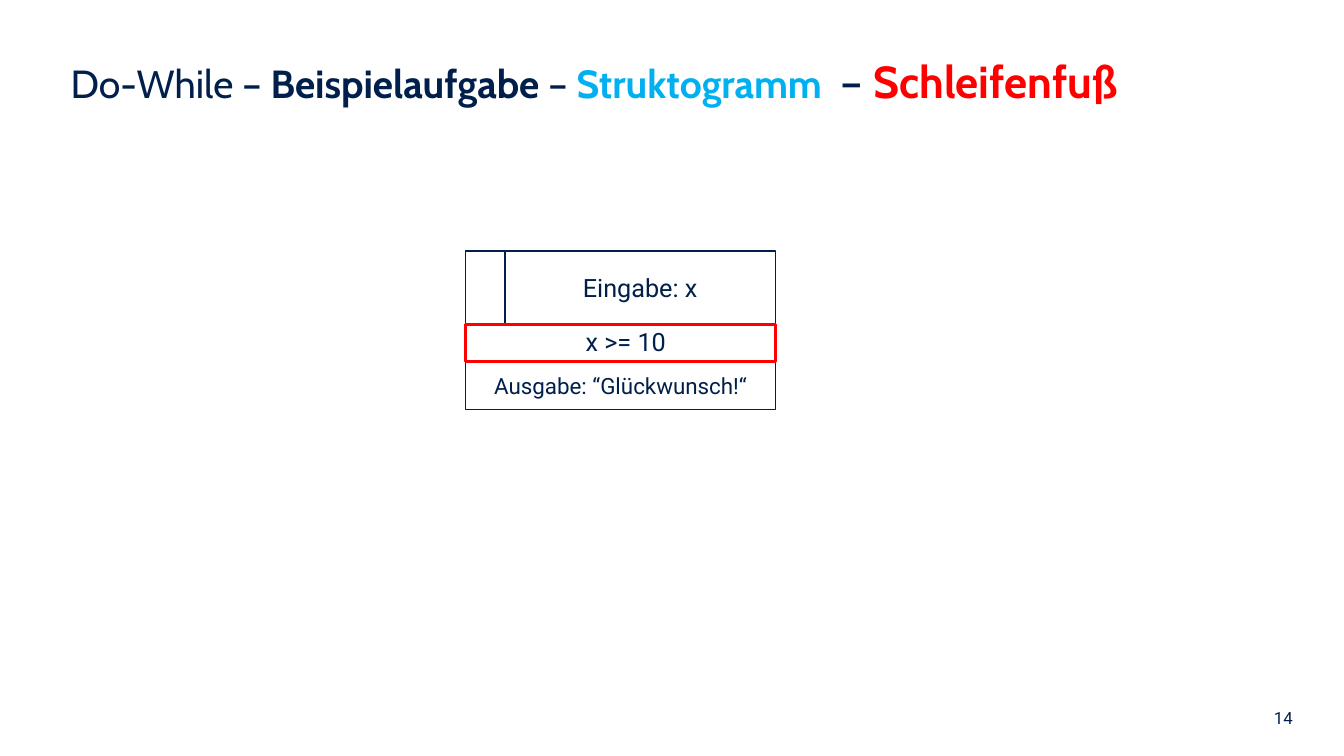
from dataclasses import dataclass

from pptx import Presentation
from pptx import util as u
from pptx.dml.color import RGBColor
from pptx.enum import shapes, text


@dataclass(frozen=True)
class Theme:
    """Colours, fonts, type sizes and line widths of the slide."""
    navy: str = "00204B"
    sky: str = "00B0F0"
    red: str = "FF0000"
    white: str = "FFFFFF"
    heading: str = "Cabin"
    body: str = "Roboto"
    title: int = 28
    accent: int = 32
    step: int = 18
    output: int = 16
    number: int = 12
    thin: float = 0.85
    thick: float = 2.25


THEME = Theme()


def add_text(p, content, size, color=THEME.navy, font=THEME.body, bold=False):
    """Append a formatted run to a paragraph."""
    r = p.add_run()
    r.text = content
    r.font.size = u.Pt(size)
    r.font.name = font
    r.font.bold = bold
    r.font.color.rgb = RGBColor.from_string(color)


def add_box(s, kind, box, fill=THEME.white, line=THEME.navy, width=THEME.thin):
    """Add an outlined shape in a box given in inches."""
    sp = s.shapes.add_shape(kind, *map(u.Inches, box))
    sp.shadow.inherit = False
    if fill:
        sp.fill.solid()
        sp.fill.fore_color.rgb = RGBColor.from_string(fill)
    else:
        sp.fill.background()
    sp.line.color.rgb = RGBColor.from_string(line)
    sp.line.width = u.Pt(width)
    return sp


def add_step(s, box, content, size):
    """Add a rectangle with a centred instruction."""
    tf = add_box(s, shapes.MSO_SHAPE.RECTANGLE, box).text_frame
    tf.word_wrap = True
    tf.vertical_anchor = text.MSO_ANCHOR.MIDDLE
    p = tf.paragraphs[0]
    p.alignment = text.PP_ALIGN.CENTER
    add_text(p, content, size)


def add_label(s, box, content, size, align, wrap=True):
    """Add a one-line text box."""
    tf = s.shapes.add_textbox(*map(u.Inches, box)).text_frame
    tf.word_wrap = wrap
    p = tf.paragraphs[0]
    p.alignment = align
    add_text(p, content, size)


def add_title(s, box):
    """Place and fill the title placeholder."""
    sp = s.shapes.title
    sp.left, sp.top, sp.width, sp.height = map(u.Inches, box)
    tf = sp.text_frame
    tf.word_wrap = True
    tf.auto_size = text.MSO_AUTO_SIZE.NONE
    tf.vertical_anchor = text.MSO_ANCHOR.TOP
    p = tf.paragraphs[0]
    p.alignment = text.PP_ALIGN.LEFT
    for content, size, color, bold in (
        ("Do-While – ", THEME.title, THEME.navy, False),
        ("Beispielaufgabe ", THEME.title, THEME.navy, True),
        ("– ", THEME.title, THEME.navy, False),
        ("Struktogramm ", THEME.title, THEME.sky, True),
        (" – ", THEME.accent, THEME.navy, False),
        ("Schleifenfuß", THEME.accent, THEME.red, True),
    ):
        add_text(p, content, size, color, THEME.heading, bold)


def add_structogram(s, box):
    """Draw the do-while loop, its highlighted foot and the output step."""
    left, top, width, height = box
    margin, foot, output = 0.39, 0.37, 0.47
    loop = height - output
    body = loop - foot
    corner = add_box(s, shapes.MSO_SHAPE.CORNER, (left, top, width, loop))
    corner.adjustments[0] = foot / loop
    corner.adjustments[1] = margin / loop
    add_label(s, (left + 1.09, top + body - 0.03, 1.04, 0.4), "x >= 10",
              THEME.step, text.PP_ALIGN.LEFT, wrap=False)
    add_step(s, (left + margin, top, width - margin, body), "Eingabe: x", THEME.step)
    add_step(s, (left, top + loop, width, output), "Ausgabe: “Glückwunsch!“", THEME.output)
    add_box(s, shapes.MSO_SHAPE.RECTANGLE, (left, top + body, width, foot),
            fill=None, line=THEME.red, width=THEME.thick)


def main():
    """Build and save the slide."""
    prs = Presentation()
    prs.slide_width, prs.slide_height = u.Inches(13.33), u.Inches(7.5)
    s = prs.slides.add_slide(prs.slide_layouts[5])
    add_title(s, (0.6, 0.48, 12.18, 0.79))
    add_structogram(s, (4.62, 2.49, 3.07, 1.57))
    add_label(s, (8.45, 6.97, 4.47, 0.4), "14", THEME.number, text.PP_ALIGN.RIGHT)
    prs.save("out.pptx")


if __name__ == "__main__":
    main()
